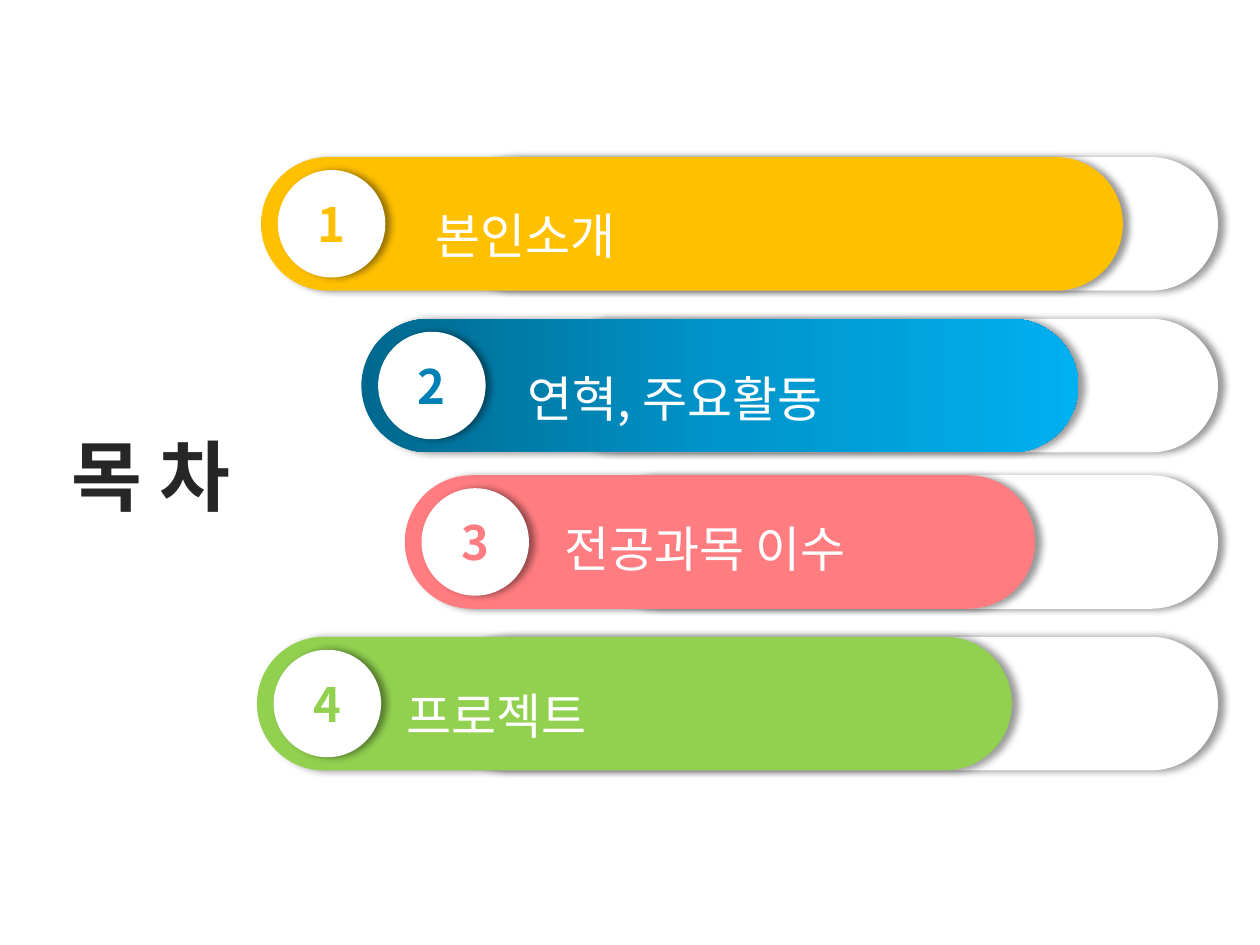
from lxml import etree
from pptx import Presentation
from pptx.dml.color import RGBColor
from pptx.enum import shapes, text
from pptx.oxml import parse_xml
from pptx.oxml.ns import nsdecls, qn
from pptx.util import Pt

FONT = "Noto Sans CJK KR"
HEX = {
    "white": "FFFFFF", "ink": "262626", "shade": "000000",
    "gold": "FFC000", "blue": "0080B5", "pink": "FF7C80", "green": "92D050",
}
FADE = [(0, "00688E"), (50, "0094CA"), (100, "00B0F0")]

# Number, label, colour, bar left, bar top, bar width, label left, label top
ITEMS = [
    ("1", "본인소개", "gold", 149.2, 89.8, 492.5, 242, 97.2),
    ("2", "연혁, 주요활동", "blue", 206.5, 182.2, 409.7, 294.5, 190.1),
    ("3", "전공과목 이수", "pink", 231.3, 271.6, 360.2, 315.4, 275.8),
    ("4", "프로젝트", "green", 146.8, 363.9, 431.4, 225.4, 371.5),
]
TITLE = "목 차"
HIGH, RIGHT, INSET = 76.3, 696, 104.4
DISC, DISC_X, DISC_Y = 61.4, 9.6, 7.4

deck = Presentation()
deck.slide_width, deck.slide_height = Pt(720), Pt(540)
slide = deck.slides.add_slide(deck.slide_layouts[6])


def rgb(name):
    return RGBColor.from_string(HEX[name])


def write(para, words, size, color, bold=False):
    run = para.add_run()
    run.text = words
    font = run.font
    font.name, font.size, font.bold = FONT, Pt(size), bold
    font.color.rgb = rgb(color)
    etree.SubElement(run._r.get_or_add_rPr(), qn("a:ea"), typeface=FONT)


def shade(shape):
    shape.shadow.inherit = False
    glow = shape._element.spPr.find(qn("a:effectLst"))
    glow.append(parse_xml(
        f'<a:outerShdw {nsdecls("a")} blurRad="{Pt(4)}" dist="{Pt(3)}" dir="0" '
        f'algn="l" rotWithShape="0"><a:srgbClr val="{HEX["shade"]}">'
        '<a:alpha val="40000"/></a:srgbClr></a:outerShdw>'))


def draw(kind, x, y, w, h, color):
    shape = slide.shapes.add_shape(kind, Pt(x), Pt(y), Pt(w), Pt(h))
    shape.fill.solid()
    shape.fill.fore_color.rgb = rgb(color)
    shape.line.fill.background()
    shade(shape)
    return shape


def pill(x, y, w, color):
    shape = draw(shapes.MSO_SHAPE.ROUNDED_RECTANGLE, x, y, w, HIGH, color)
    shape.adjustments[0] = 0.5
    return shape


def fade(shape):
    stops = "".join(f'<a:gs pos="{pos * 1000}"><a:srgbClr val="{tone}"/></a:gs>'
                    for pos, tone in FADE)
    props = shape._element.spPr
    props.replace(props.find(qn("a:solidFill")), parse_xml(
        f'<a:gradFill {nsdecls("a")} rotWithShape="1"><a:gsLst>{stops}</a:gsLst>'
        '<a:lin ang="0" scaled="0"/></a:gradFill>'))


def label(x, y, w, h, words, size, color, bold=False):
    frame = slide.shapes.add_textbox(Pt(x), Pt(y), Pt(w), Pt(h)).text_frame
    frame.word_wrap = True
    frame.auto_size = text.MSO_AUTO_SIZE.SHAPE_TO_FIT_TEXT
    para = frame.paragraphs[0]
    write(para, words, size, color, bold)
    return para


# Agenda bars: white track, coloured bar, numbered disc, label
for num, words, color, x, y, w, tx, ty in ITEMS:
    start = x + INSET
    pill(start, y, RIGHT - start, "white")
    bar = pill(x, y, w, color)
    if color == "blue":
        fade(bar)
    disc = draw(shapes.MSO_SHAPE.OVAL, x + DISC_X, y + DISC_Y, DISC, DISC, "white")
    frame = disc.text_frame
    frame.vertical_anchor = text.MSO_ANCHOR.MIDDLE
    para = frame.paragraphs[0]
    para.alignment = text.PP_ALIGN.CENTER
    write(para, num, 27, color, True)
    para = label(tx, ty, 243.4, 58.3, words, 28, "white")
    para.alignment = text.PP_ALIGN.JUSTIFY
    para.line_spacing = 1.5

# Title
label(33.8, 241.2, 133.9, 60.5, TITLE, 44, "ink", True)

deck.save("out.pptx")
